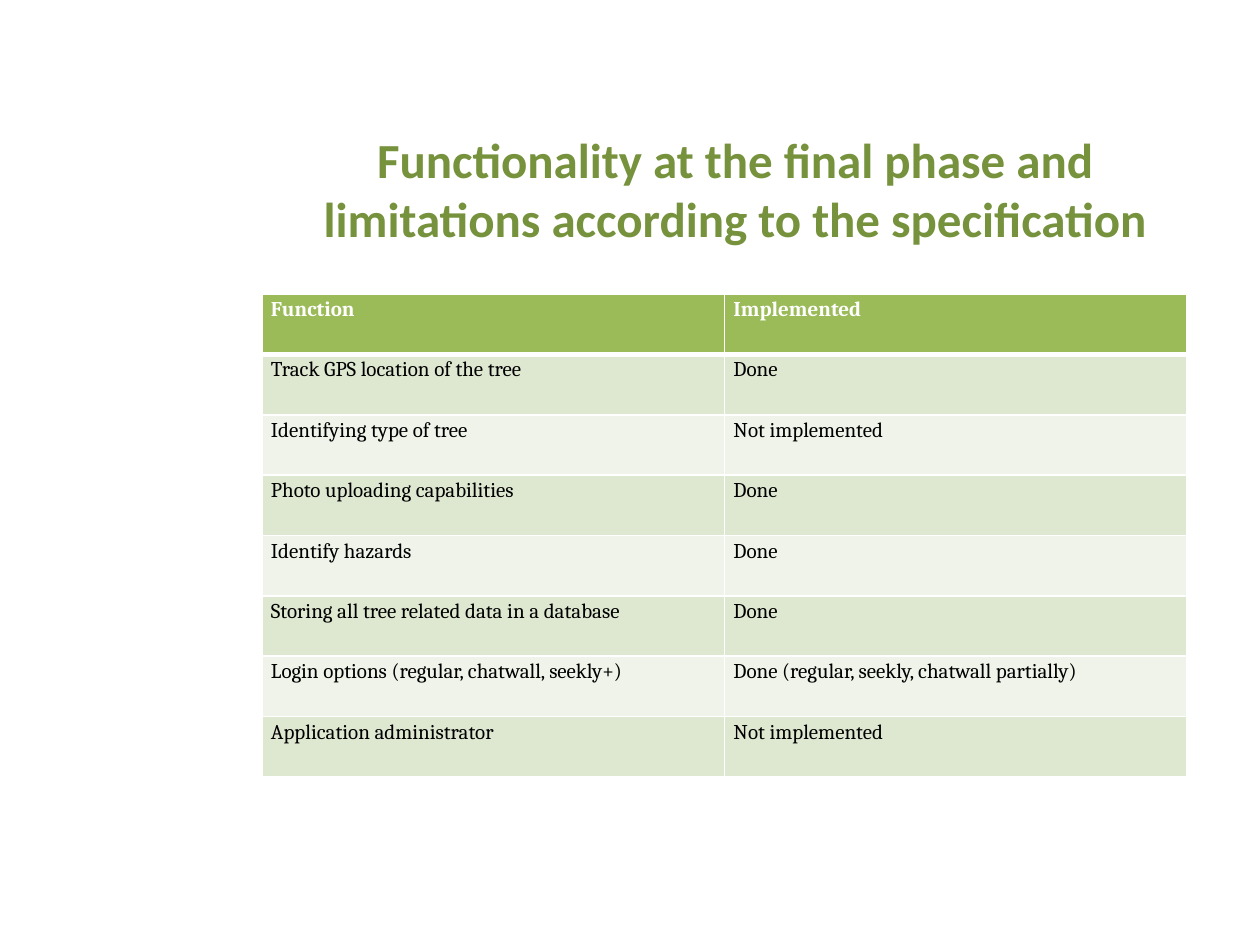
from lxml.etree import SubElement
from pptx import Presentation
from pptx.dml.color import RGBColor
from pptx.enum.text import MSO_ANCHOR, PP_ALIGN
from pptx.oxml.ns import qn
from pptx.util import Emu, Pt

HEADING = "Functionality at the final phase and limitations according to the specification"
FUNCTIONS = [
    ("Function", "Implemented"),
    ("Track GPS location of the tree", "Done"),
    ("Identifying type of tree", "Not implemented"),
    ("Photo uploading capabilities", "Done"),
    ("Identify hazards", "Done"),
    ("Storing all tree related data in a database", "Done"),
    ("Login options (regular, chatwall, seekly+)", "Done (regular, seekly, chatwall partially)"),
    ("Application administrator", "Not implemented"),
]
COLORS = {
    "heading": "76923C",
    "header": "9BBB59",
    "odd": "DEE7D0",
    "even": "EFF3E9",
    "white": "FFFFFF",
    "black": "000000",
}
HEADING_BOX = (272, 115, 926, 147)
TABLE_BOX = (262, 294, 925, 483)


def px(length):
    return Emu(round(length * 914400 / 126))


def color(name):
    return RGBColor.from_string(COLORS[name])


def style_font(paragraph, face, size, color_name, bold):
    font = paragraph.font
    font.name, font.size, font.bold = face, Pt(size), bold
    font.color.rgb = color(color_name)


def add_border(cell, side, points):
    line = SubElement(cell._tc.get_or_add_tcPr(), qn(f"a:ln{side}"), w=str(Pt(points)))
    fill = SubElement(line, qn("a:solidFill"))
    SubElement(fill, qn("a:srgbClr"), val=COLORS["white"])


def style_cell(cell, text, row):
    header = row == 0
    for side in "LRTB":
        under_header = (row, side) in ((0, "B"), (1, "T"))
        add_border(cell, side, 3 if under_header else 1)
    cell.fill.solid()
    cell.fill.fore_color.rgb = color("header" if header else "odd" if row % 2 else "even")
    cell.margin_left = cell.margin_right = px(9)
    cell.margin_top = cell.margin_bottom = 0
    cell.text = text
    paragraph = cell.text_frame.paragraphs[0]
    paragraph.line_spacing = 1.15
    style_font(paragraph, "Cambria", 12, "white" if header else "black", header)


deck = Presentation()
deck.slide_width, deck.slide_height = px(1260), px(945)
slide = deck.slides.add_slide(deck.slide_layouts[5])

heading = slide.shapes.title
heading.left, heading.top, heading.width, heading.height = map(px, HEADING_BOX)
heading.text = HEADING
heading.text_frame.vertical_anchor = MSO_ANCHOR.MIDDLE
heading_line = heading.text_frame.paragraphs[0]
heading_line.alignment = PP_ALIGN.CENTER
style_font(heading_line, "Calibri", 28, "heading", True)

table = slide.shapes.add_table(len(FUNCTIONS), 2, *map(px, TABLE_BOX)).table
for row, texts in enumerate(FUNCTIONS):
    for column, text in enumerate(texts):
        style_cell(table.cell(row, column), text, row)

deck.save("out.pptx")
